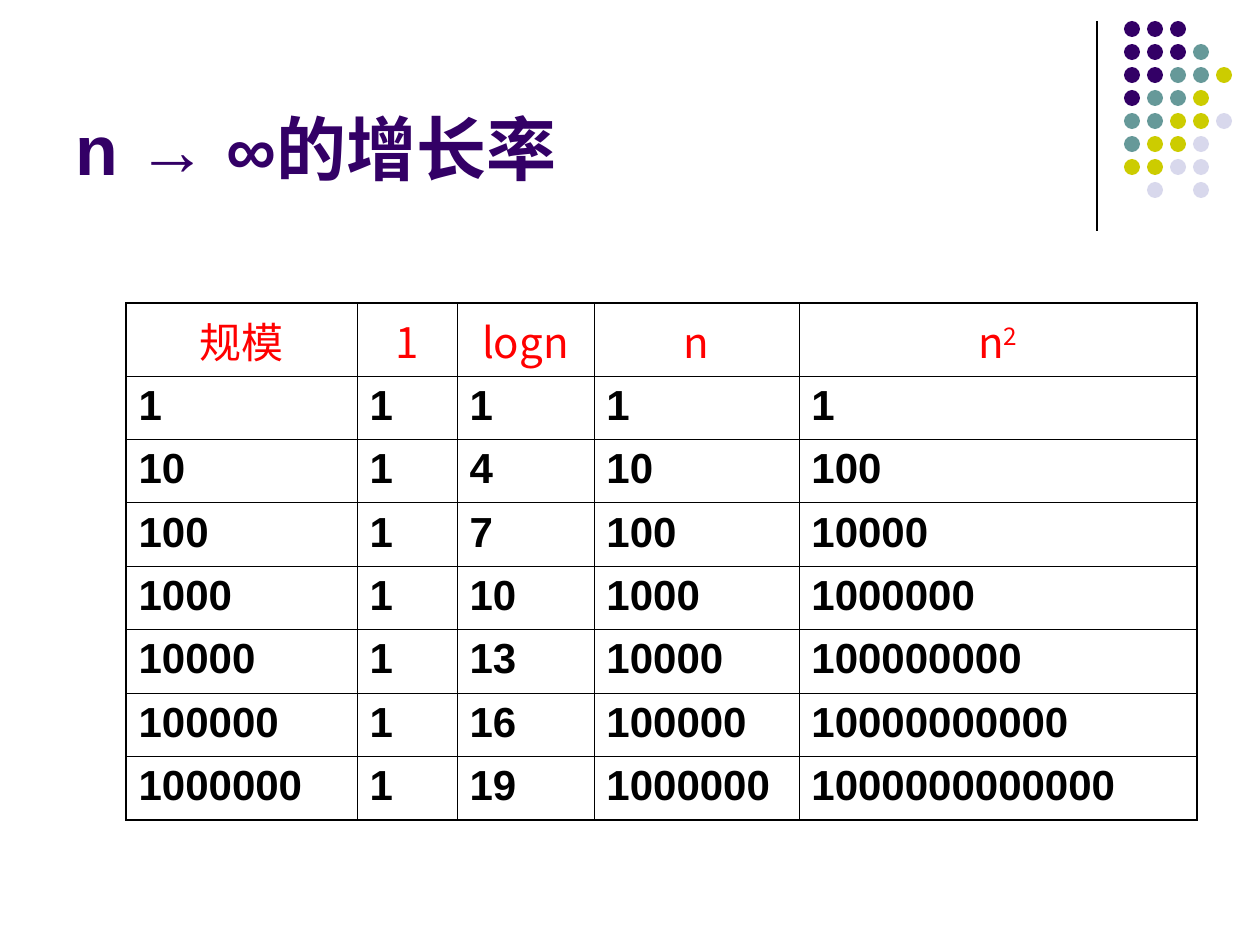
from lxml.etree import SubElement
from pptx import Presentation
from pptx.dml.color import RGBColor
from pptx.enum.shapes import MSO_CONNECTOR as Connector, MSO_SHAPE as Shape
from pptx.enum.text import MSO_ANCHOR as Anchor, PP_ALIGN as Align
from pptx.oxml.ns import qn
from pptx.util import Emu, Pt

BLACK = RGBColor(0x00, 0x00, 0x00)
RED = RGBColor(0xFF, 0x00, 0x00)
PURPLE = RGBColor(0x33, 0x00, 0x66)
TEAL = RGBColor(0x66, 0x99, 0x99)
OLIVE = RGBColor(0xCC, 0xCC, 0x00)
LILAC = RGBColor(0xD8, 0xD8, 0xEC)

CJK_FONT = "Noto Sans CJK SC"
TITLE_FONT = {"name": "Arial", "size": Pt(40), "bold": True}
HEADER_FONT = {"name": CJK_FONT, "size": Pt(24), "bold": False}
BODY_FONT = {"name": "Arial", "size": Pt(24), "bold": True}

# One string per row of dots, one letter per colour
DOT_COLORS = {"P": PURPLE, "T": TEAL, "O": OLIVE, "L": LILAC}
DOT_ROWS = ["PPP", "PPPT", "PPTTO", "PTTO", "TTOOL", "TOOL", "OOLL", " L L"]
DOT_SIZE, DOT_PITCH = 16, 23

HEADERS = ["规模", "1", "logn", "n", "n"]
LOGS = [1, 4, 7, 10, 13, 16, 19]
COLUMN_WIDTHS = [231, 100, 137, 205, 398]
HEADER_HEIGHT, BODY_HEIGHT = 73, 444
OUTER, INNER = Pt(1.08), Pt(0.45)


def px(length):
    return Emu(round(length * 914400 / 126))


def add_run(paragraph, text, formats, color):
    run = paragraph.add_run()
    run.text = text
    for name, value in formats.items():
        setattr(run.font, name, value)
    run.font.color.rgb = color
    SubElement(run.font._element, qn("a:ea"), typeface=CJK_FONT)
    return run


def add_title(slide, text):
    frame = slide.shapes.add_textbox(px(63), px(16), px(1040), px(180)).text_frame
    frame.word_wrap = True
    frame.vertical_anchor = Anchor.BOTTOM
    add_run(frame.paragraphs[0], text, TITLE_FONT, PURPLE)


def add_divider(slide):
    divider = slide.shapes.add_connector(
        Connector.STRAIGHT, px(1097), px(21), px(1097), px(231))
    divider.line.color.rgb = BLACK
    divider.line.width = Pt(0.75)
    SubElement(divider._element.spPr, qn("a:effectLst"))


def add_dots(slide, left, top):
    dots = slide.shapes.add_group_shape().shapes
    for row, letters in enumerate(DOT_ROWS):
        for column, letter in enumerate(letters):
            if letter not in DOT_COLORS:
                continue
            dot = dots.add_shape(
                Shape.OVAL, px(left + column * DOT_PITCH),
                px(top + row * DOT_PITCH), px(DOT_SIZE), px(DOT_SIZE))
            dot.shadow.inherit = False
            dot.fill.solid()
            dot.fill.fore_color.rgb = DOT_COLORS[letter]
            dot.line.fill.background()


def set_borders(cell, widths):
    properties = cell._tc.get_or_add_tcPr()
    for side, width in widths.items():
        border = SubElement(properties, qn(f"a:ln{side}"), w=str(width))
        fill = SubElement(border, qn("a:solidFill"))
        SubElement(fill, qn("a:srgbClr"), val=str(BLACK))


def add_growth_table(slide):
    sizes = [10 ** power for power in range(len(LOGS))]
    rows = [HEADERS] + [[n, 1, log, n, n * n] for n, log in zip(sizes, LOGS)]
    last_row, last_column = len(rows) - 1, len(HEADERS) - 1
    table = slide.shapes.add_table(
        len(rows), len(HEADERS), px(126), px(303),
        px(sum(COLUMN_WIDTHS)), px(HEADER_HEIGHT + BODY_HEIGHT)).table
    table.first_row = table.horz_banding = False
    for column, width in zip(table.columns, COLUMN_WIDTHS):
        column.width = px(width)

    for r, values in enumerate(rows):
        table.rows[r].height = px(BODY_HEIGHT / last_row if r else HEADER_HEIGHT)
        for c, value in enumerate(values):
            cell = table.cell(r, c)
            set_borders(cell, {
                "L": OUTER if c == 0 else INNER,
                "R": OUTER if c == last_column else INNER,
                "T": OUTER if r == 0 else INNER,
                "B": OUTER if r == last_row else INNER,
            })
            cell.fill.background()
            paragraph = cell.text_frame.paragraphs[0]
            paragraph.alignment = Align.LEFT if r else Align.CENTER
            formats, color = (BODY_FONT, BLACK) if r else (HEADER_FONT, RED)
            add_run(paragraph, str(value), formats, color)

    # Exponent of the last heading
    heading = table.cell(0, last_column).text_frame.paragraphs[0]
    exponent = add_run(heading, "2", HEADER_FONT, RED)
    exponent.font._element.set("baseline", "30000")


def main():
    presentation = Presentation()
    presentation.slide_width, presentation.slide_height = px(1260), px(945)
    slide = presentation.slides.add_slide(presentation.slide_layouts[6])

    # Corner decoration
    add_divider(slide)
    add_dots(slide, 1124, 21)

    # Content
    add_title(slide, "n → ∞的增长率")
    add_growth_table(slide)
    presentation.save("out.pptx")


if __name__ == "__main__":
    main()
